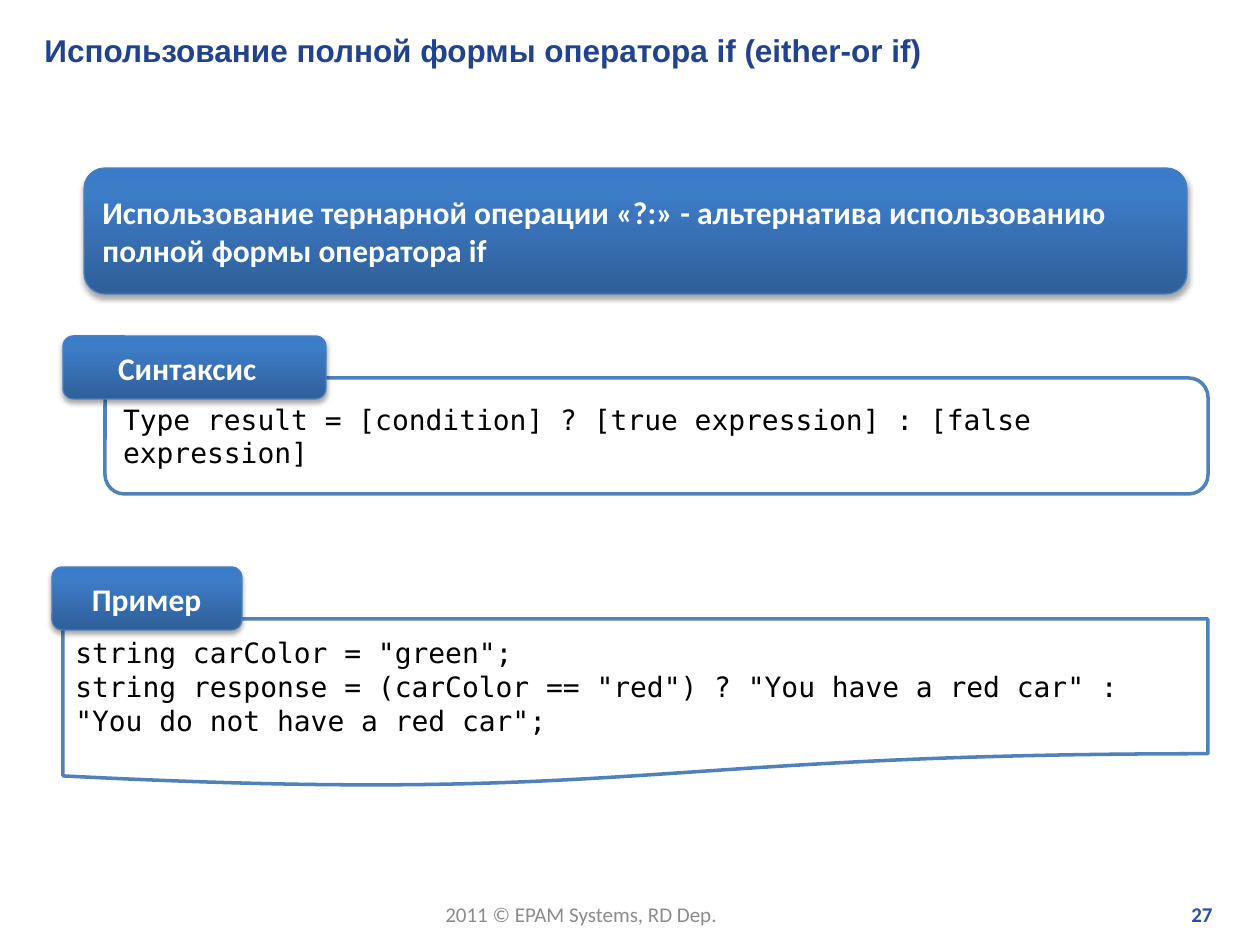
import copy

import lxml.etree
import pptx
import pptx.dml.color
import pptx.enum.shapes
import pptx.enum.text
import pptx.oxml.ns
import pptx.util

PX = 914400 / 126
MSO = pptx.enum.shapes.MSO_SHAPE
ALIGN = pptx.enum.text.PP_ALIGN
ANCHOR = pptx.enum.text.MSO_ANCHOR
qn = pptx.oxml.ns.qn


def rgb(value):
    return pptx.dml.color.RGBColor.from_string(value)


def write(sp, text, font, size, color, bold, align, anchor, wrap=True):
    tf = sp.text_frame
    tf.text = text
    tf.word_wrap = wrap
    tf.vertical_anchor = anchor
    for p in tf.paragraphs:
        p.alignment = align
        for r in p.runs:
            r.font.name = font
            r.font.size = pptx.util.Pt(size)
            r.font.bold = bold
            r.font.color.rgb = rgb(color)


prs = pptx.Presentation()
prs.slide_width = pptx.util.Inches(10)
prs.slide_height = pptx.util.Inches(7.5)
s = prs.slides.add_slide(prs.slide_layouts[6])

labels = [
    ((433, 895, 301, 38), "2011 © EPAM Systems, RD Dep.",
     "Calibri", 12, "8C8C8C", False, ALIGN.LEFT, ANCHOR.TOP, False),
    ((958, 895, 267, 38), "27",
     "Calibri", 12, "2750AB", True, ALIGN.RIGHT, ANCHOR.TOP, True),
    ((32, 25, 1202, 50), "Использование полной формы оператора if (either-or if)",
     "Arial", 18, "21438F", True, ALIGN.LEFT, ANCHOR.MIDDLE, True),
]
for box, *style in labels:
    sp = s.shapes.add_textbox(*[round(v * PX) for v in box])
    write(sp, *style)

example = (
    'string carColor = "green";\n'
    'string response = (carColor == "red") ? "You have a red car" : '
    '"You do not have a red car";'
)
syntax = "Type result = [condition] ? [true expression] : [false expression]"
banner = ("Использование тернарной операции «?:» - "
          "альтернатива использованию полной формы оператора if")

panels = [
    ("bar", MSO.ROUNDED_RECTANGLE, (84, 168, 1103, 126), banner, ALIGN.LEFT, 13),
    ("code", MSO.FLOWCHART_DOCUMENT, (63, 619, 1145, 168), example, ALIGN.LEFT, 13),
    ("bar", MSO.ROUNDED_RECTANGLE, (52, 567, 190, 63), "Пример", ALIGN.CENTER, 13),
    ("code", MSO.ROUNDED_RECTANGLE, (105, 378, 1103, 116), syntax, ALIGN.LEFT, 13),
    ("bar", MSO.ROUNDED_RECTANGLE, (63, 336, 263, 63), "Cинтаксис", ALIGN.CENTER, 27),
]
for kind, shape, box, text, align, right in panels:
    sp = s.shapes.add_shape(shape, *[round(v * PX) for v in box])
    sp.shadow.inherit = False
    sp.text_frame.margin_right = round(right * PX)
    if kind == "code":
        sp.fill.solid()
        sp.fill.fore_color.rgb = rgb("FFFFFF")
        sp.line.color.rgb = rgb("4F81BD")
        sp.line.width = pptx.util.Pt(2)
        write(sp, text, "DejaVu Sans Mono", 16, "000000", False, align, ANCHOR.MIDDLE)
        continue

    sp.fill.gradient()
    sp.fill.gradient_angle = 90
    spPr = sp._element.spPr
    gsLst = spPr.find(".//" + qn("a:gsLst"))
    gsLst.insert(1, copy.deepcopy(gsLst[0]))
    colors = [(0, "2F5F99"), (0.8, "3D7CC7"), (1, "3A7CCB")]
    for stop, (position, color) in zip(sp.fill.gradient_stops, colors):
        stop.position = position
        stop.color.rgb = rgb(color)
    sp.line.color.rgb = rgb("4B7EBC")
    sp.line.width = pptx.util.Pt(0.75)

    shadow = lxml.etree.SubElement(
        spPr.find(qn("a:effectLst")), qn("a:outerShdw"),
        blurRad=str(pptx.util.Pt(3.1)), dist=str(pptx.util.Pt(1.8)),
        dir="5400000", rotWithShape="0")
    black = lxml.etree.SubElement(shadow, qn("a:srgbClr"), val="000000")
    lxml.etree.SubElement(black, qn("a:alpha"), val="35000")
    write(sp, text, "Calibri", 18, "FFFFFF", True, align, ANCHOR.MIDDLE)

prs.save("out.pptx")
